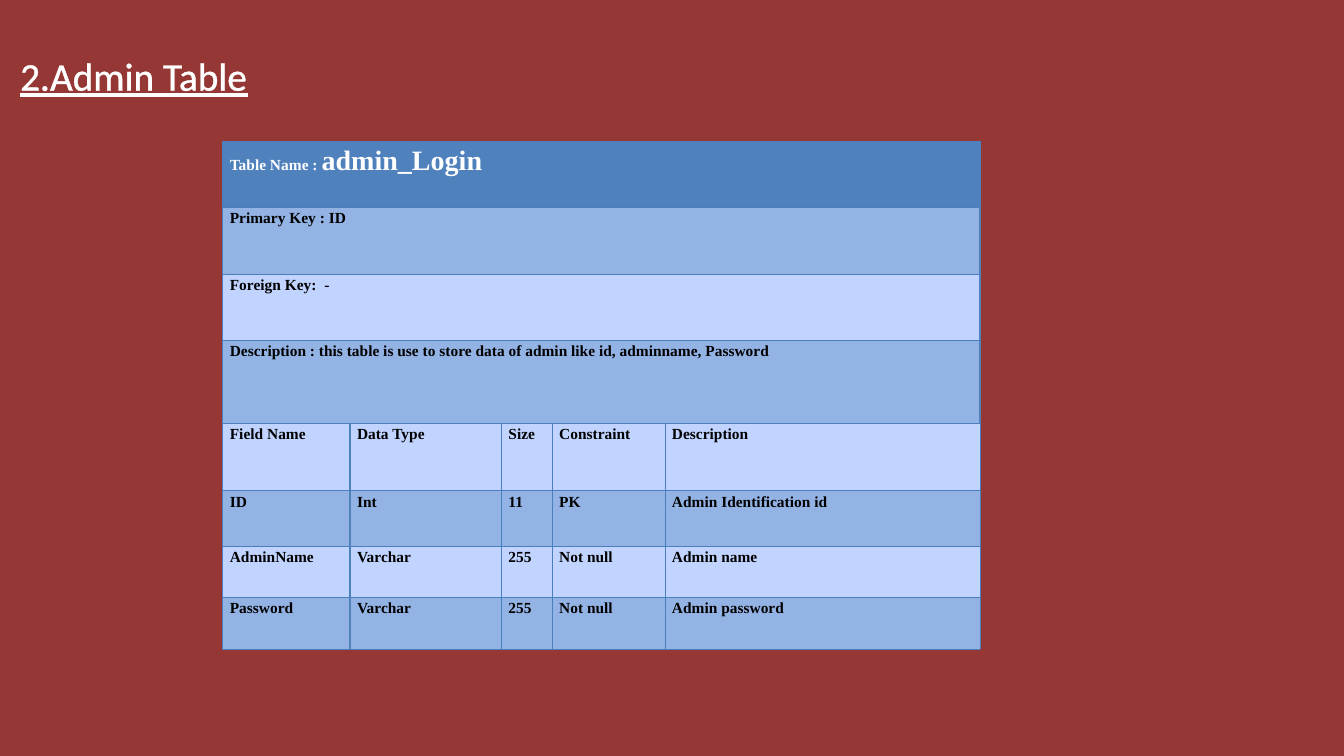
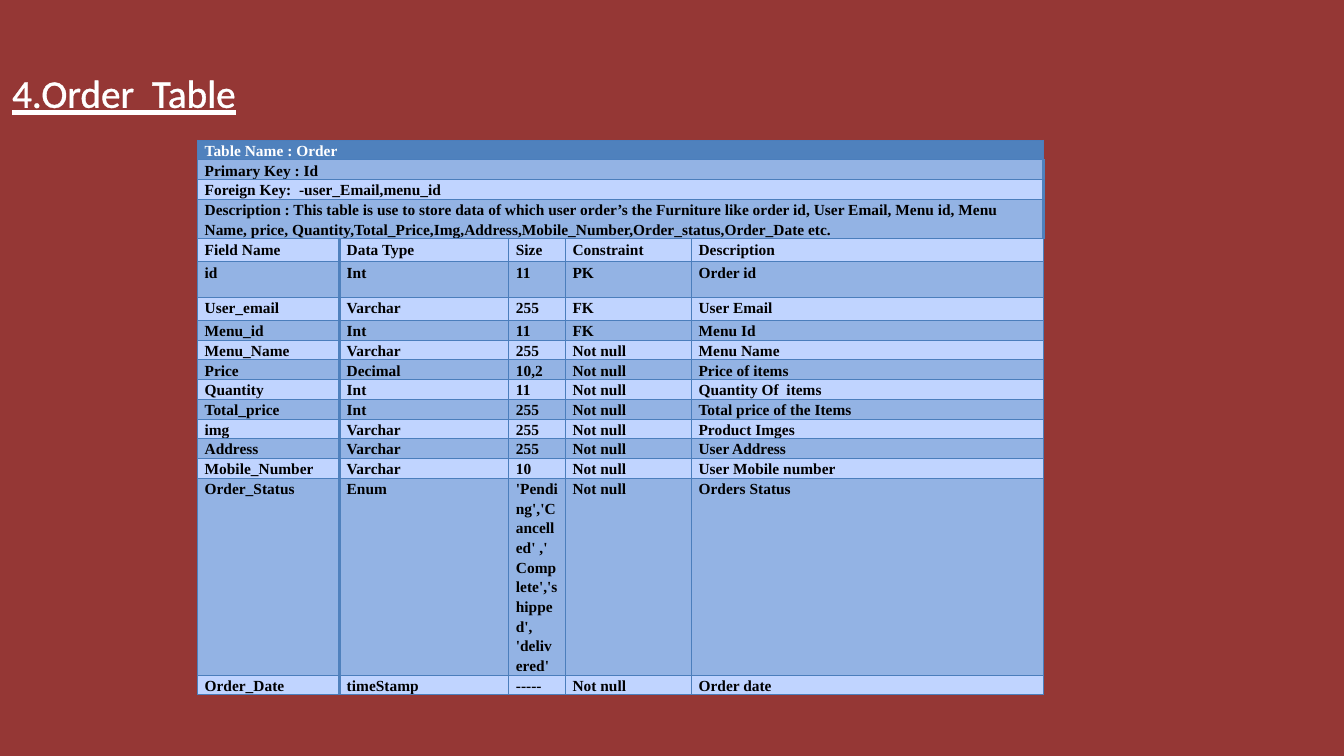
from lxml.etree import SubElement
from pptx import Presentation
from pptx.dml.color import RGBColor
from pptx.enum.text import MSO_ANCHOR, MSO_AUTO_SIZE, PP_ALIGN
from pptx.oxml import parse_xml
from pptx.oxml.ns import nsdecls, qn
from pptx.util import Inches, Pt

# Shared look
MAROON = RGBColor(0x95, 0x37, 0x35)
WHITE = RGBColor(0xFF, 0xFF, 0xFF)
BLACK = RGBColor(0x00, 0x00, 0x00)
HEADER_BLUE = RGBColor(0x4F, 0x81, 0xBD)
BAND_BLUE = RGBColor(0x93, 0xB3, 0xE4)
LIGHT_BLUE = RGBColor(0xC0, 0xD4, 0xFF)
BORDER_BLUE = RGBColor(0x4B, 0x7E, 0xBC)
TITLE_FONT, TABLE_FONT = "Calibri", "Times New Roman"
COLUMN_SHARES = (0.168, 0.2, 0.067, 0.149, 0.416)
TITLE_ONLY = 5
LINE = 0.19  # height of a one-line row

# Content: each slide has full-width summary rows, then the field rows
FIELD_HEADINGS = ("Field Name", "Data Type", "Size", "Constraint", "Description")
SLIDES = [
    {
        "title": "2.Admin Table",
        "title_box": (0.1, 0.33, 2.69, 0.64),
        "table_box": (2.21, 1.4, 7.51),
        "name": "admin_Login",
        "name_size": 20,
        "summary": [
            "Primary Key : ID",
            "Foreign Key:  -",
            "Description : this table is use to store data of admin like id, "
            "adminname, Password",
        ],
        "fields": [
            ("ID", "Int", "11", "PK", "Admin Identification id"),
            ("AdminName", "Varchar", "255", "Not null", "Admin name"),
            ("Password", "Varchar", "255", "Not null", "Admin password"),
        ],
        "heights": [0.66] * 3 + [0.82, 0.67, 0.55, 0.51, 0.51],
    },
    {
        "title": "4.Order  Table",
        "title_box": (0.02, 0.5, 3.48, 0.64),
        "table_box": (1.96, 1.39, 8.39),
        "name": "Order",
        "name_size": 11,
        "summary": [
            "Primary Key : Id",
            "Foreign Key:  -user_Email,menu_id",
            "Description : This table is use to store data of which user order’s "
            "the Furniture like order id, User Email, Menu id, Menu Name, price, "
            "Quantity,Total_Price,Img,Address,Mobile_Number,Order_status,"
            "Order_Date etc.",
        ],
        "fields": [
            ("id", "Int", "11", "PK", "Order id"),
            ("User_email", "Varchar", "255", "FK", "User Email"),
            ("Menu_id", "Int", "11", "FK", "Menu Id"),
            ("Menu_Name", "Varchar", "255", "Not null", "Menu Name"),
            ("Price", "Decimal", "10,2", "Not null", "Price of items"),
            ("Quantity", "Int", "11", "Not null", "Quantity Of  items"),
            ("Total_price", "Int", "255", "Not null", "Total price of the Items"),
            ("img", "Varchar", "255", "Not null", "Product Imges"),
            ("Address", "Varchar", "255", "Not null", "User Address"),
            ("Mobile_Number", "Varchar", "10", "Not null", "User Mobile number"),
            ("Order_Status", "Enum",
             "'Pending','Cancelled' ,'Complete','shipped', 'delivered'",
             "Not null", "Orders Status"),
            ("Order_Date", "timeStamp", "-----", "Not null", "Order date"),
        ],
        "heights": [LINE] * 3 + [0.39, 0.23, 0.35, 0.23] + [LINE] * 8 + [1.95, LINE],
    },
]


def add_title(slide, text, box):
    title = slide.shapes.title
    title.left, title.top, title.width, title.height = map(Inches, box)
    frame = title.text_frame
    frame.text = text
    frame.auto_size = MSO_AUTO_SIZE.NONE
    frame.vertical_anchor = MSO_ANCHOR.TOP
    paragraph = frame.paragraphs[0]
    paragraph.alignment = PP_ALIGN.LEFT
    paragraph.line_spacing = 1.28
    run = paragraph.runs[0]
    font = run.font
    font.name, font.size, font.underline = TITLE_FONT, Pt(28), True
    font.color.rgb = WHITE
    outline = parse_xml(
        f'<a:ln {nsdecls("a")} w="{Pt(1.45)}"><a:solidFill>'
        f'<a:srgbClr val="{WHITE}"/></a:solidFill></a:ln>')
    run.font._element.insert(0, outline)


def set_borders(cell, right_color, right_width):
    properties = cell._tc.get_or_add_tcPr()
    edges = [("lnL", BORDER_BLUE, 0.75), ("lnR", right_color, right_width),
             ("lnT", BORDER_BLUE, 0.75), ("lnB", BORDER_BLUE, 0.75)]
    for position, (edge, color, width) in enumerate(edges):
        line = SubElement(properties, qn(f"a:{edge}"), w=str(Pt(width)))
        fill = SubElement(line, qn("a:solidFill"))
        SubElement(fill, qn("a:srgbClr"), val=str(color))
        properties.insert(position, line)


def format_cell(cell, row, column):
    cell.margin_left = cell.margin_right = Inches(0.07)
    cell.margin_top = cell.margin_bottom = 0
    cell.fill.solid()
    cell.fill.fore_color.rgb = (
        HEADER_BLUE if row == 0 else BAND_BLUE if row % 2 else LIGHT_BLUE)
    if row and column == 0:
        set_borders(cell, HEADER_BLUE, 2)
    else:
        set_borders(cell, BORDER_BLUE, 0.75)
    paragraph = cell.text_frame.paragraphs[0]
    paragraph.line_spacing = 1.15
    paragraph.space_after = Pt(10)
    for run in paragraph.runs:
        font = run.font
        font.name, font.size, font.bold = TABLE_FONT, Pt(11), True
        font.color.rgb = BLACK if row else WHITE


def add_schema_table(slide, content):
    summary = ["Table Name : "] + content["summary"]
    rows = [(text,) for text in summary] + [FIELD_HEADINGS] + content["fields"]
    heights = content["heights"]
    left, top, width = content["table_box"]
    table = slide.shapes.add_table(
        len(rows), len(COLUMN_SHARES), Inches(left), Inches(top),
        Inches(width), Inches(sum(heights))).table
    table.first_row = table.horz_banding = False
    for column, share in zip(table.columns, COLUMN_SHARES):
        column.width = Inches(width * share)

    for row, (texts, height) in enumerate(zip(rows, heights)):
        table.rows[row].height = Inches(height)
        if len(texts) == 1:
            table.cell(row, 0).merge(table.cell(row, len(COLUMN_SHARES) - 1))
        for column, text in enumerate(texts):
            cell = table.cell(row, column)
            cell.text = text
            if row == 0:
                cell.text_frame.paragraphs[0].add_run().text = content["name"]
            format_cell(cell, row, column)
    name_run = table.cell(0, 0).text_frame.paragraphs[0].runs[1]
    name_run.font.size = Pt(content["name_size"])


def main():
    presentation = Presentation()
    presentation.slide_width, presentation.slide_height = Inches(13.33), Inches(7.5)
    background = presentation.slide_master.background.fill
    background.solid()
    background.fore_color.rgb = MAROON
    for content in SLIDES:
        slide = presentation.slides.add_slide(presentation.slide_layouts[TITLE_ONLY])
        add_title(slide, content["title"], content["title_box"])
        add_schema_table(slide, content)
    presentation.save("out.pptx")


if __name__ == "__main__":
    main()
